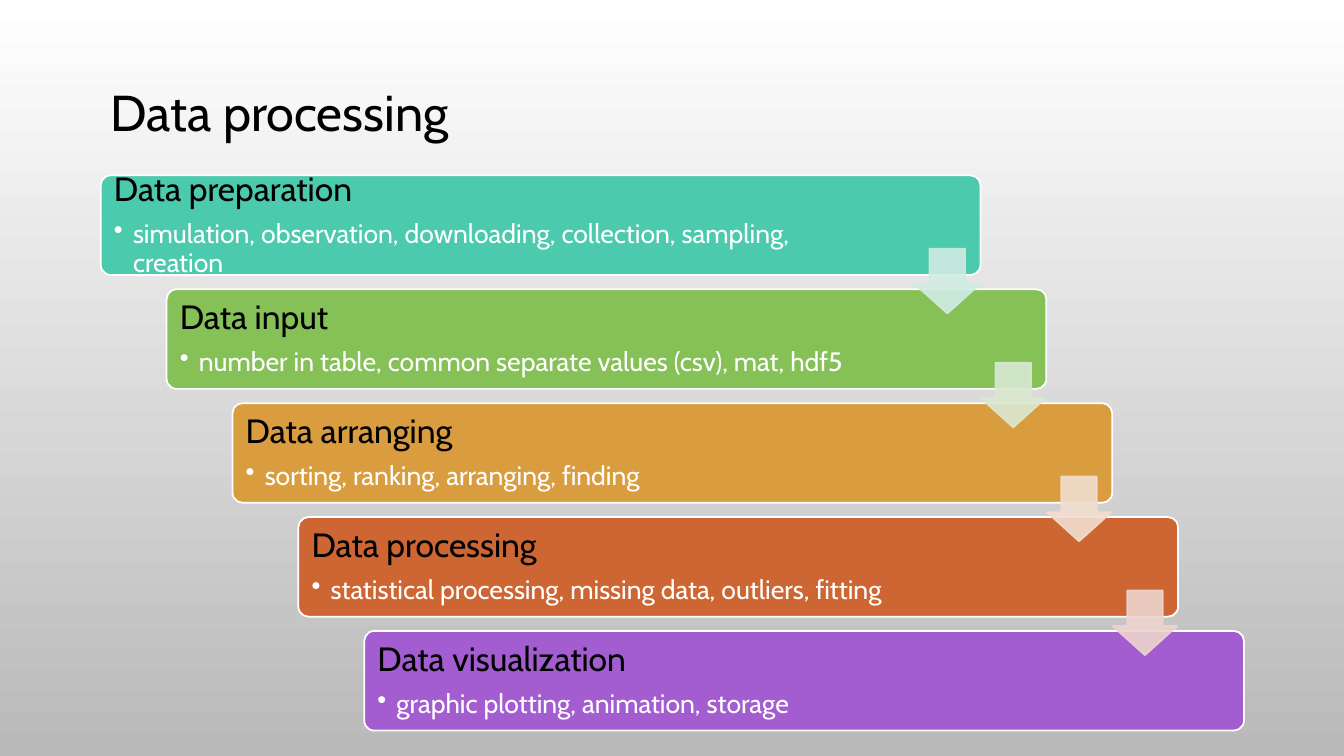
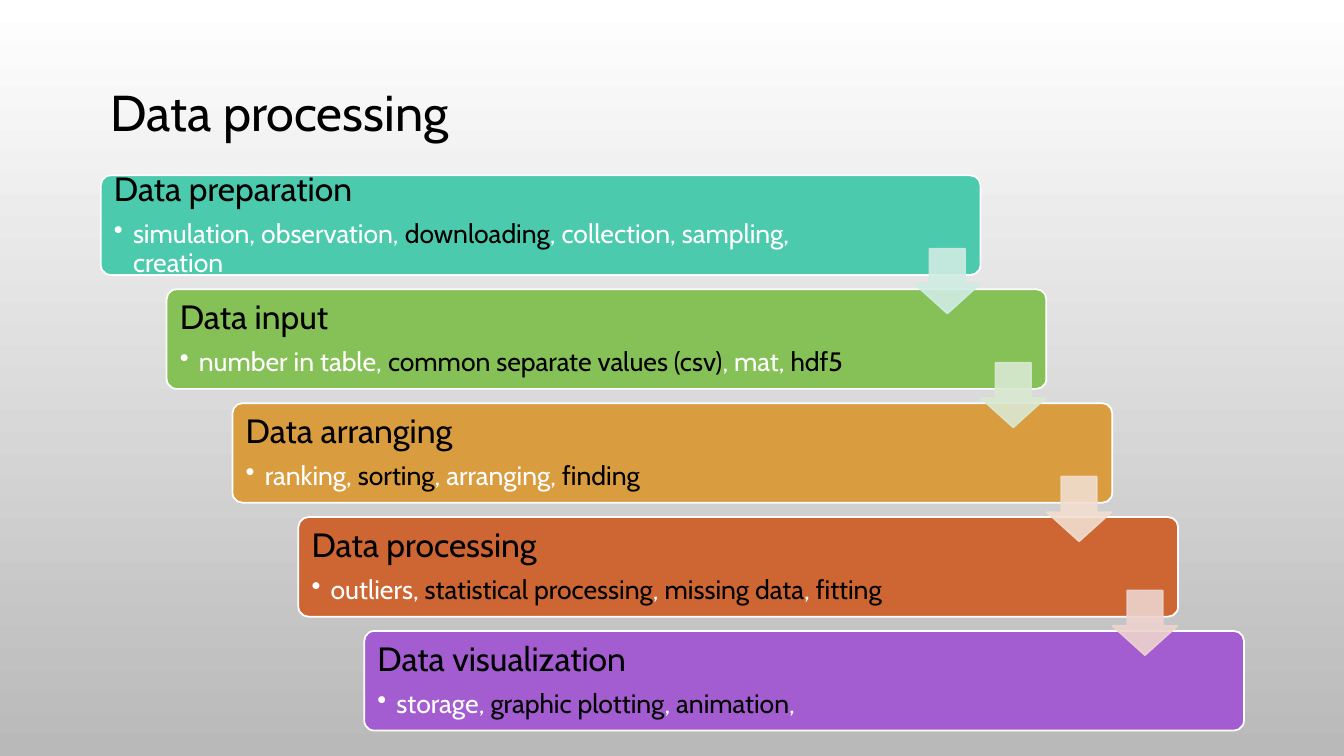
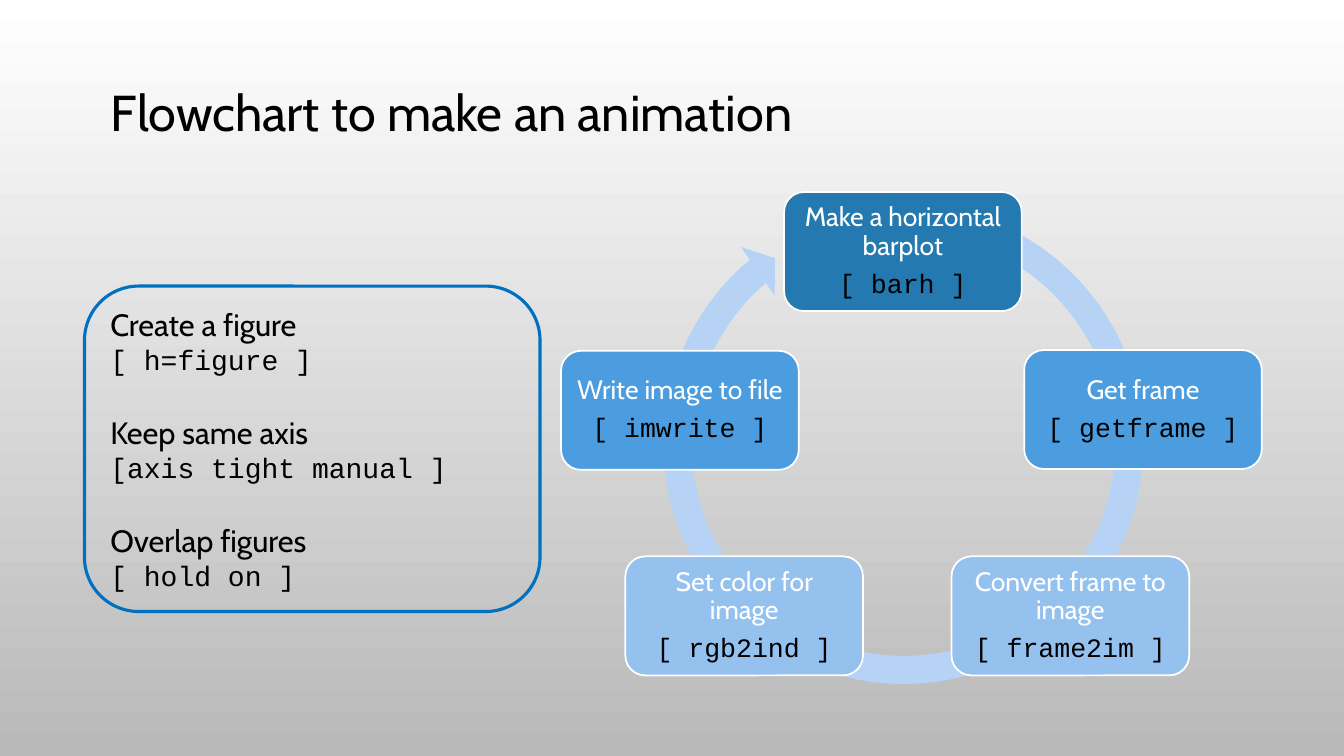
"""Build three slides on data processing and on making an animation."""
from itertools import cycle

from lxml.etree import SubElement
from pptx import Presentation
from pptx.dml.color import RGBColor
from pptx.enum.shapes import MSO_SHAPE as Preset
from pptx.enum.text import MSO_ANCHOR as Anchor, PP_ALIGN as Align
from pptx.oxml.ns import qn
from pptx.util import Cm, Pt

BLACK = RGBColor(0x00, 0x00, 0x00)
WHITE = RGBColor(0xFF, 0xFF, 0xFF)
GREY = RGBColor(0xB9, 0xB9, 0xB9)
OUTLINE_BLUE = RGBColor(0x00, 0x70, 0xC0)
RING_BLUE = RGBColor(0xB6, 0xD3, 0xF6)
DEEP_BLUE = RGBColor(0x23, 0x79, 0xB0)
MID_BLUE = RGBColor(0x4B, 0x9D, 0xE0)
SOFT_BLUE = RGBColor(0x95, 0xC1, 0xEF)
BAR_COLORS = [
    RGBColor(0x4B, 0xCA, 0xAD),
    RGBColor(0x86, 0xC1, 0x57),
    RGBColor(0xD9, 0x9C, 0x3F),
    RGBColor(0xCE, 0x66, 0x33),
    RGBColor(0xA3, 0x5D, 0xD1),
]
ARROW_COLORS = [
    RGBColor(0xD0, 0xEC, 0xE3),
    RGBColor(0xD9, 0xE9, 0xD1),
    RGBColor(0xF1, 0xDE, 0xCF),
    RGBColor(0xED, 0xD3, 0xCE),
]

TEXT_FONT = "Cabin"
CODE_FONT = "Courier New"
THIN = 1.25
STEP_X, STEP_Y = 1.66, 2.87
TIGHT = 0.9

STAGES = ["Data preparation", "Data input", "Data arranging", "Data processing",
          "Data visualization"]
PLAIN_DETAILS = [
    ["simulation, observation, downloading, collection, sampling, creation"],
    ["number in table, common separate values (csv), mat, hdf5"],
    ["sorting, ranking, arranging, finding"],
    ["statistical processing, missing data, outliers, fitting"],
    ["graphic plotting, animation, storage"],
]
MARKED_DETAILS = [
    ["simulation, observation, ", "downloading", ", collection, sampling, creation"],
    ["number in table, ", "common separate values (csv)", ", mat, ", "hdf5"],
    ["ranking, ", "sorting", ", arranging, ", "finding"],
    ["outliers, ", "statistical processing", ", ", "missing data", ", ", "fitting"],
    ["storage,", " graphic plotting", ", ", "animation", ","],
]
CYCLE_STEPS = [
    (19.76, 4.84, DEEP_BLUE, "Make a horizontal barplot", "[ barh ]"),
    (25.81, 8.82, MID_BLUE, "Get frame", "[ getframe ]"),
    (23.98, 14.02, SOFT_BLUE, "Convert frame to image", "[ frame2im ]"),
    (15.76, 14.02, SOFT_BLUE, "Set color for image", "[ rgb2ind ]"),
    (14.14, 8.84, MID_BLUE, "Write image to file", "[ imwrite ]"),
]
SETUP_STEPS = [
    ("Create a figure", "[ h=figure ]"),
    ("Keep same axis", "[axis tight manual ]"),
    ("Overlap figures", "[ hold on ]"),
]


def set_background(presentation):
    """Give the slide master a white to grey gradient from top to bottom."""
    fill = presentation.slide_master.background.fill
    fill.gradient()
    fill.gradient_angle = 270
    for stop, position, color in zip(fill.gradient_stops, (0, 1), (WHITE, GREY)):
        stop.position = position
        stop.color.rgb = color


def add_preset(slide, preset, box, fill=None, line=None, width=THIN, adjustments=()):
    """Add a flat preset shape; box is left, top, width and height in cm."""
    shape = slide.shapes.add_shape(preset, *map(Cm, box))
    shape.shadow.inherit = False
    for index, value in enumerate(adjustments):
        shape.adjustments[index] = value
    if fill is None:
        shape.fill.background()
    else:
        shape.fill.solid()
        shape.fill.fore_color.rgb = fill
    if line is None:
        shape.line.fill.background()
    else:
        shape.line.color.rgb = line
        shape.line.width = Pt(width)
    return shape


def prepare_frame(shape, margins=None):
    """Wrap and centre text vertically; margins are left, top, right, bottom in cm."""
    frame = shape.text_frame
    frame.word_wrap = True
    frame.vertical_anchor = Anchor.MIDDLE
    if margins:
        (frame.margin_left, frame.margin_top,
         frame.margin_right, frame.margin_bottom) = map(Cm, margins)
    return frame


def add_paragraph(frame, first=False, align=Align.LEFT, spacing=1.0, before=0, after=0):
    """Return the first or a new paragraph with its alignment and spacing set."""
    paragraph = frame.paragraphs[0] if first else frame.add_paragraph()
    paragraph.alignment = align
    paragraph.line_spacing = spacing
    paragraph.space_before = Pt(before)
    paragraph.space_after = Pt(after)
    return paragraph


def add_run(paragraph, text, size, color=BLACK, font=TEXT_FONT):
    """Add one formatted run."""
    run = paragraph.add_run()
    run.text = text
    run.font.size = Pt(size)
    run.font.name = font
    run.font.color.rgb = color


def add_bullet(paragraph):
    """Give the paragraph a round bullet with a hanging indent."""
    properties = paragraph._p.get_or_add_pPr()
    properties.set("marL", str(Cm(0.48)))
    properties.set("indent", str(-Cm(0.48)))
    SubElement(properties, qn("a:buChar")).set("char", "•")


def set_opacity(shape, percent):
    """Make the shape's fill and line partly transparent."""
    for color in shape._element.spPr.iter(qn("a:srgbClr")):
        SubElement(color, qn("a:alpha")).set("val", str(percent * 1000))


def add_titled_slide(presentation, title):
    """Add a blank slide with the shared title style."""
    slide = presentation.slides.add_slide(presentation.slide_layouts[6])
    box = slide.shapes.add_textbox(Cm(2.54), Cm(1.73), Cm(28.78), Cm(2.36))
    paragraph = add_paragraph(prepare_frame(box), first=True, spacing=TIGHT)
    add_run(paragraph, title, 36)
    return slide


def add_stage_bar(slide, index, details):
    """Add one stair bar; its detail runs alternate between white and black."""
    bar = add_preset(
        slide, Preset.ROUNDED_RECTANGLE,
        (2.54 + index * STEP_X, 4.42 + index * STEP_Y, 22.17, 2.51),
        BAR_COLORS[index], WHITE, adjustments=[0.1])
    right_margin = 3.56 if index else 3.12
    frame = prepare_frame(bar, (0.26, 0.26, right_margin, 0.26))
    heading = add_paragraph(frame, first=True, spacing=TIGHT, after=8.4)
    add_run(heading, STAGES[index], 24)
    detail = add_paragraph(frame, spacing=TIGHT, after=2.85)
    add_bullet(detail)
    for text, color in zip(details, cycle((WHITE, BLACK))):
        add_run(detail, text, 19, color)


def add_stage_arrow(slide, index):
    """Add the down arrow that leads from one bar to the next."""
    color = ARROW_COLORS[index]
    arrow = add_preset(
        slide, Preset.DOWN_ARROW,
        (23.06 + index * STEP_X, 6.27 + index * STEP_Y, 1.63, 1.63),
        color, color, adjustments=[0.55, 0.45])
    set_opacity(arrow, 90)


def add_staircase_slide(presentation, details):
    """Add the slide with five stepped stages."""
    slide = add_titled_slide(presentation, "Data processing")
    for index, texts in enumerate(details):
        add_stage_bar(slide, index, texts)
        if index:
            add_stage_arrow(slide, index - 1)


def add_cycle_step(slide, left, top, color, label, code):
    """Add one box of the animation cycle."""
    box = add_preset(slide, Preset.ROUNDED_RECTANGLE, (left, top, 5.99, 3),
                     color, WHITE)
    frame = prepare_frame(box, [0.21] * 4)
    style = {"align": Align.CENTER, "spacing": TIGHT, "after": 6.65}
    add_run(add_paragraph(frame, first=True, **style), label, 19, WHITE)
    add_run(add_paragraph(frame, **style), code, 19, font=CODE_FONT)


def add_setup_box(slide):
    """Add the outlined list of preparatory commands."""
    box = add_preset(slide, Preset.ROUNDED_RECTANGLE, (2.13, 7.21, 11.48, 8.2),
                     line=OUTLINE_BLUE, width=2.25)
    frame = prepare_frame(box)
    for index, (label, code) in enumerate(SETUP_STEPS):
        heading = add_paragraph(frame, first=index == 0, before=26.7 if index else 0)
        add_run(heading, label, 22)
        add_run(add_paragraph(frame), code, 20, font=CODE_FONT)


def add_animation_slide(presentation):
    """Add the slide with the animation cycle and its setup."""
    slide = add_titled_slide(presentation, "Flowchart to make an animation")
    add_preset(slide, Preset.CIRCULAR_ARROW, (16.33, 4.75, 12.88, 12.88), RING_BLUE,
               adjustments=[0.055, 3.31, 137.9, 173.77, 0.058])
    for step in CYCLE_STEPS:
        add_cycle_step(slide, *step)
    add_setup_box(slide)


def main():
    """Build and save the presentation."""
    presentation = Presentation()
    presentation.slide_width = Cm(33.87)
    presentation.slide_height = Cm(19.05)
    set_background(presentation)
    add_staircase_slide(presentation, PLAIN_DETAILS)
    add_staircase_slide(presentation, MARKED_DETAILS)
    add_animation_slide(presentation)
    presentation.save("out.pptx")


if __name__ == "__main__":
    main()
